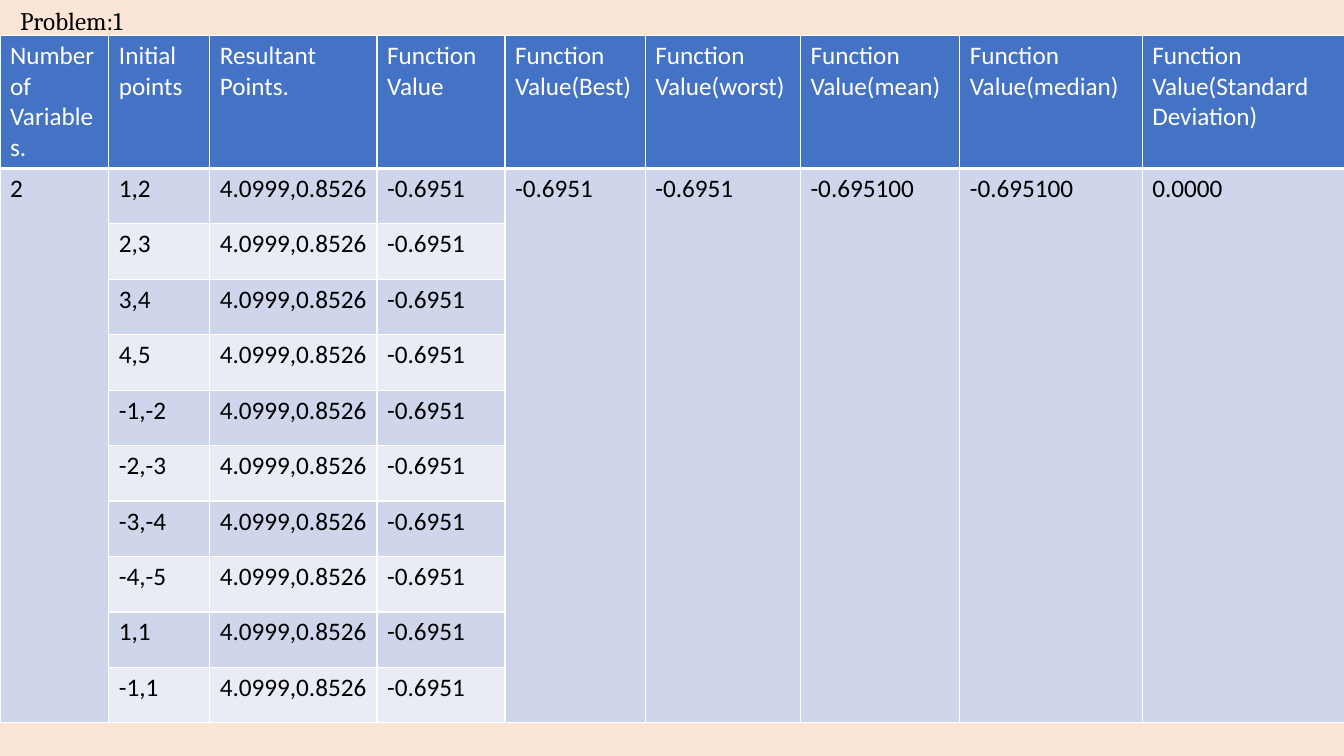
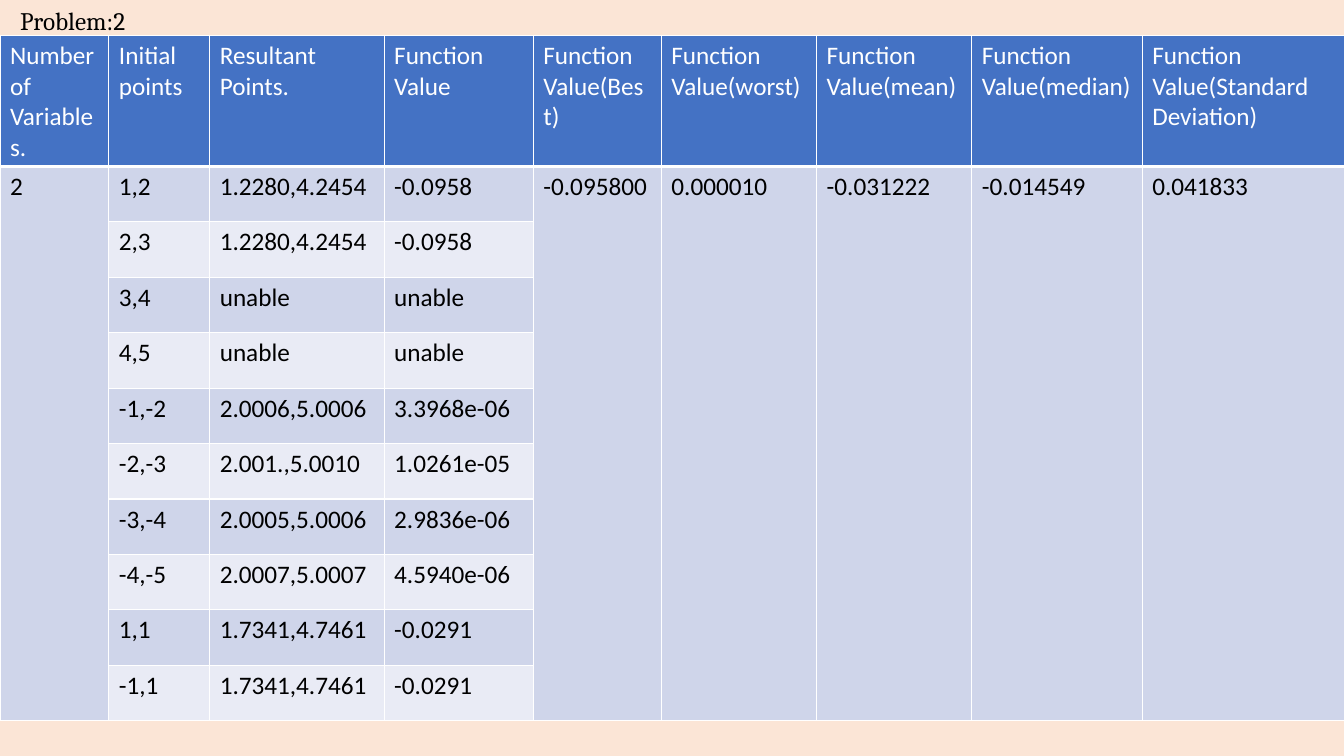
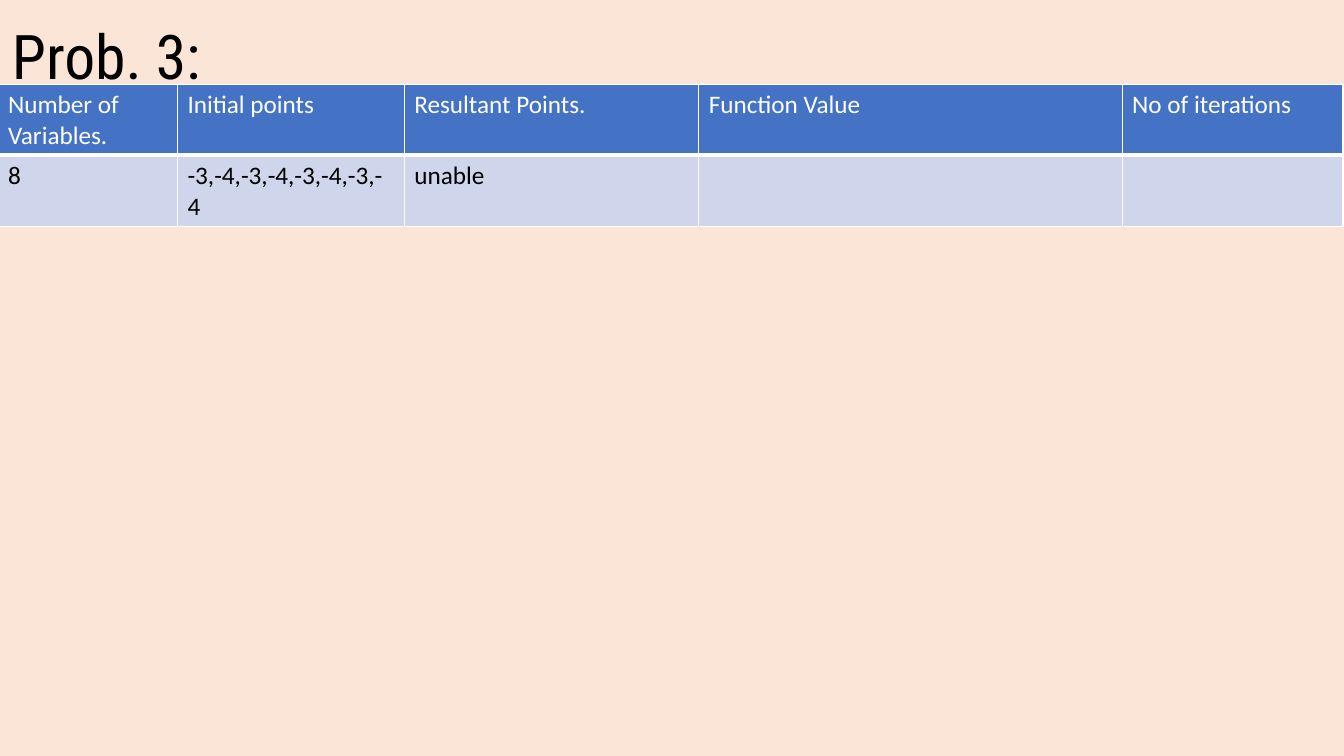
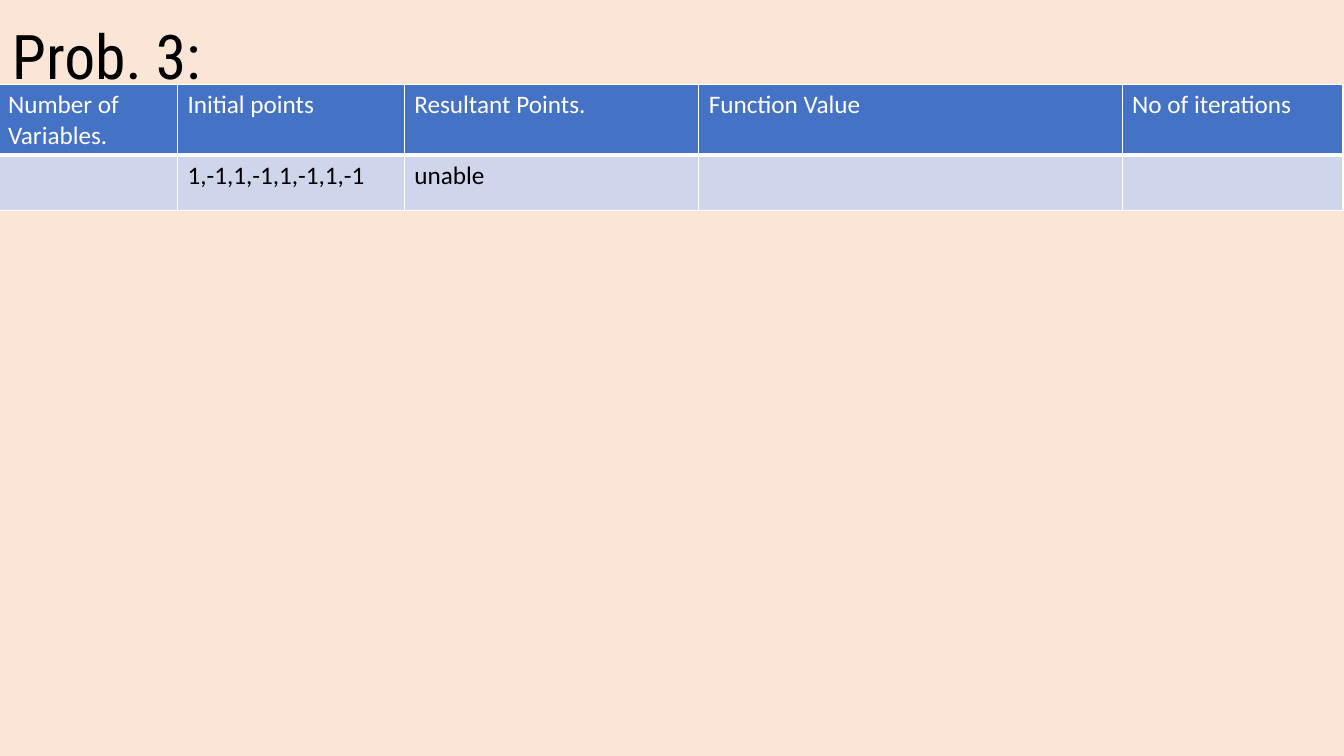
from lxml import etree
from pptx import Presentation
from pptx.dml.color import RGBColor
from pptx.enum.text import MSO_ANCHOR
from pptx.oxml.ns import qn
from pptx.util import Inches, Pt

MIDDLE = MSO_ANCHOR.MIDDLE

# Colours
PEACH = RGBColor(0xFB, 0xE5, 0xD6)
BLUE = RGBColor(0x44, 0x72, 0xC4)
BAND_DARK = RGBColor(0xCF, 0xD5, 0xEA)
BAND_LIGHT = RGBColor(0xE9, 0xEB, 0xF5)
WHITE = RGBColor(0xFF, 0xFF, 0xFF)
BLACK = RGBColor(0x00, 0x00, 0x00)

# Table content
COMMON_HEADS = ["Number of Variables.", "Initial points", "Resultant Points.", "Function Value"]
STATISTICS = ["Best", "worst", "mean", "median", "Standard Deviation"]
STATISTIC_HEADS = COMMON_HEADS + [f"Function Value({name})" for name in STATISTICS]
ITERATION_HEADS = COMMON_HEADS + ["No of iterations"]
INITIAL_POINTS = ["1,2", "2,3", "3,4", "4,5", "-1,-2", "-2,-3", "-3,-4", "-4,-5", "1,1", "-1,1"]

# Title, column widths, (resultant points, function value) pairs, statistics
STATISTIC_PROBLEMS = [
    ("Problem:1",
     [1.08, 1, 1.66, 1.27, 1.39, 1.54, 1.58, 1.81, 2.02],
     [("4.0999,0.8526", "-0.6951")] * len(INITIAL_POINTS),
     ["-0.6951", "-0.6951", "-0.695100", "-0.695100", "0.0000"]),
    ("Problem:2",
     [1.08, 1, 1.73, 1.48, 1.27, 1.54, 1.54, 1.69, 2.02],
     [("1.2280,4.2454", "-0.0958"), ("1.2280,4.2454", "-0.0958"),
      ("unable", "unable"), ("unable", "unable"),
      ("2.0006,5.0006", "3.3968e-06"), ("2.001.,5.0010", "1.0261e-05"),
      ("2.0005,5.0006", "2.9836e-06"), ("2.0007,5.0007", "4.5940e-06"),
      ("1.7341,4.7461", "-0.0291"), ("1.7341,4.7461", "-0.0291")],
     ["-0.095800", "0.000010", "-0.031222", "-0.014549", "0.041833"]),
]

# Body row and its height
ITERATION_COLS = [1.78, 2.25, 2.92, 4.2, 2.19]
ITERATION_ROWS = [
    (["8", "-3,-4,-3,-4,-3,-4,-3,-4", "unable", "", ""], 0.71),
    (["", "1,-1,1,-1,1,-1,1,-1", "unable", "", ""], 0.55),
]


class Deck:
    """Holds the presentation, its style and the current slide."""

    def __init__(self):
        self.prs = Presentation()
        self.prs.slide_width, self.prs.slide_height = Inches(13.33), Inches(7.5)
        self.slide = None

    def new_slide(self):
        self.slide = self.prs.slides.add_slide(self.prs.slide_layouts[6])
        fill = self.slide.background.fill
        fill.solid()
        fill.fore_color.rgb = PEACH

    def style(self, p, name, size, color):
        p.font.name, p.font.size = name, Pt(size)
        p.font.color.rgb = color

    def text(self, text, x, y, w, h, name, size, anchor=None, spacing=None):
        tf = self.slide.shapes.add_textbox(Inches(x), Inches(y), Inches(w), Inches(h)).text_frame
        tf.word_wrap = True
        tf.vertical_anchor = anchor
        p = tf.paragraphs[0]
        p.text = text
        p.line_spacing = spacing
        self.style(p, name, size, BLACK)

    def borders(self, cell, bottom):
        tc_pr = cell._tc.get_or_add_tcPr()
        for side, width in (("L", 1), ("R", 1), ("T", 1), ("B", bottom)):
            ln = etree.SubElement(tc_pr, qn(f"a:ln{side}"), w=str(Pt(width)))
            fill = etree.SubElement(ln, qn("a:solidFill"))
            etree.SubElement(fill, qn("a:srgbClr"), val=str(WHITE))

    def table(self, x, y, cols, heights, rows, merged=()):
        table = self.slide.shapes.add_table(
            len(rows), len(cols), Inches(x), Inches(y),
            Inches(sum(cols)), Inches(sum(heights))).table
        table.first_row = table.horz_banding = False
        for column, width in zip(table.columns, cols):
            column.width = Inches(width)
        for row, height in zip(table.rows, heights):
            row.height = Inches(height)
        for c in merged:
            table.cell(1, c).merge(table.cell(len(rows) - 1, c))
        for r, values in enumerate(rows):
            band = BLUE if r == 0 else BAND_DARK if r % 2 else BAND_LIGHT
            for c, value in enumerate(values):
                cell = table.cell(r, c)
                if cell.is_spanned:
                    continue
                self.borders(cell, 1 if r else 3)
                cell.fill.solid()
                cell.fill.fore_color.rgb = band
                p = cell.text_frame.paragraphs[0]
                p.text = value
                self.style(p, "Calibri", 18, BLACK if r else WHITE)


def main():
    deck = Deck()

    # Problems with statistics over all starting points
    for title, cols, results, statistics in STATISTIC_PROBLEMS:
        deck.new_slide()
        rows = [STATISTIC_HEADS]
        for i, (point, result) in enumerate(zip(INITIAL_POINTS, results)):
            summary = [""] * len(statistics) if i else statistics
            rows.append(["" if i else "2", point, *result, *summary])
        heights = [1.29] + [0.55] * len(results)
        deck.table(0, 0.35, cols, heights, rows, merged=[0, 4, 5, 6, 7, 8])
        deck.text(title, 0.1, 0, 3.01, 0.4, "Cambria", 18)

    # Problem 3, one starting point a slide
    for row, height in ITERATION_ROWS:
        deck.new_slide()
        deck.text("Prob. 3:", 0.02, 0.14, 12.25, 0.91, "Roboto Condensed", 44, MIDDLE, 0.9)
        deck.table(-0.02, 0.84, ITERATION_COLS, [0.7, height], [ITERATION_HEADS, row])

    deck.prs.save("out.pptx")


if __name__ == "__main__":
    main()
